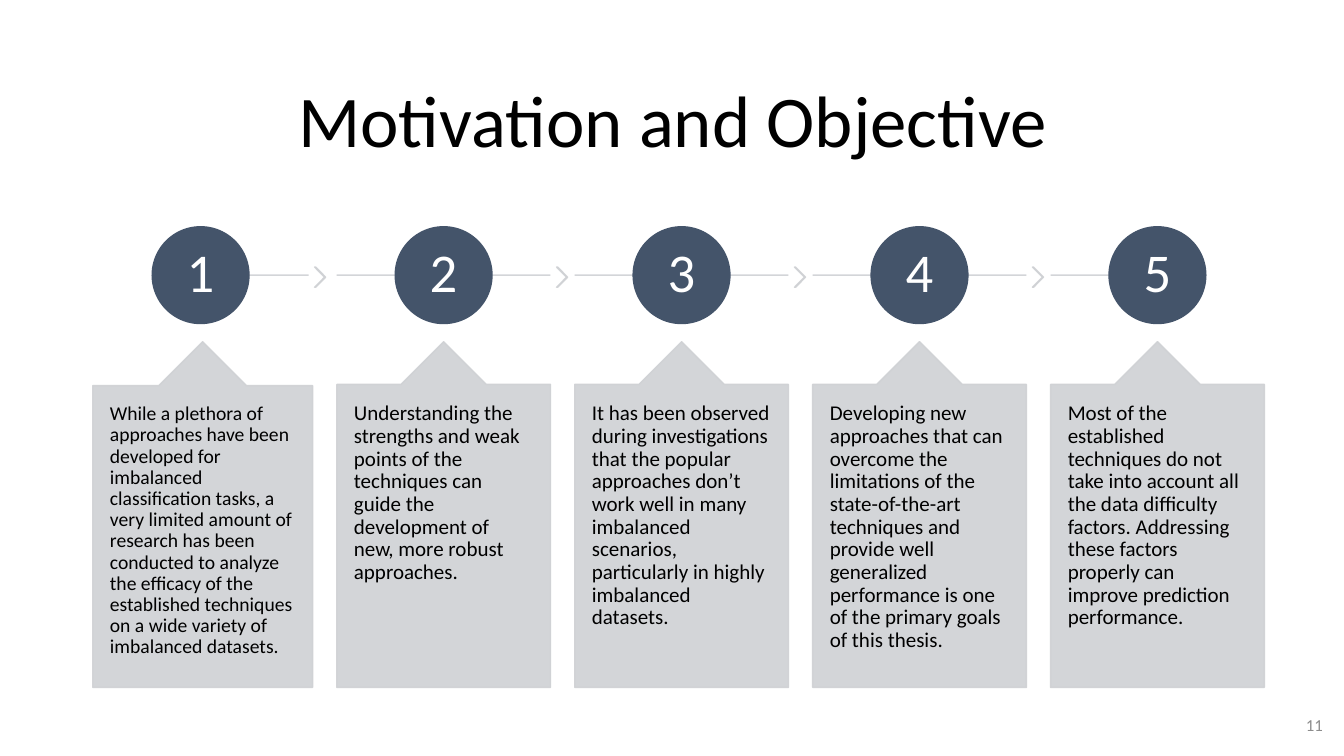
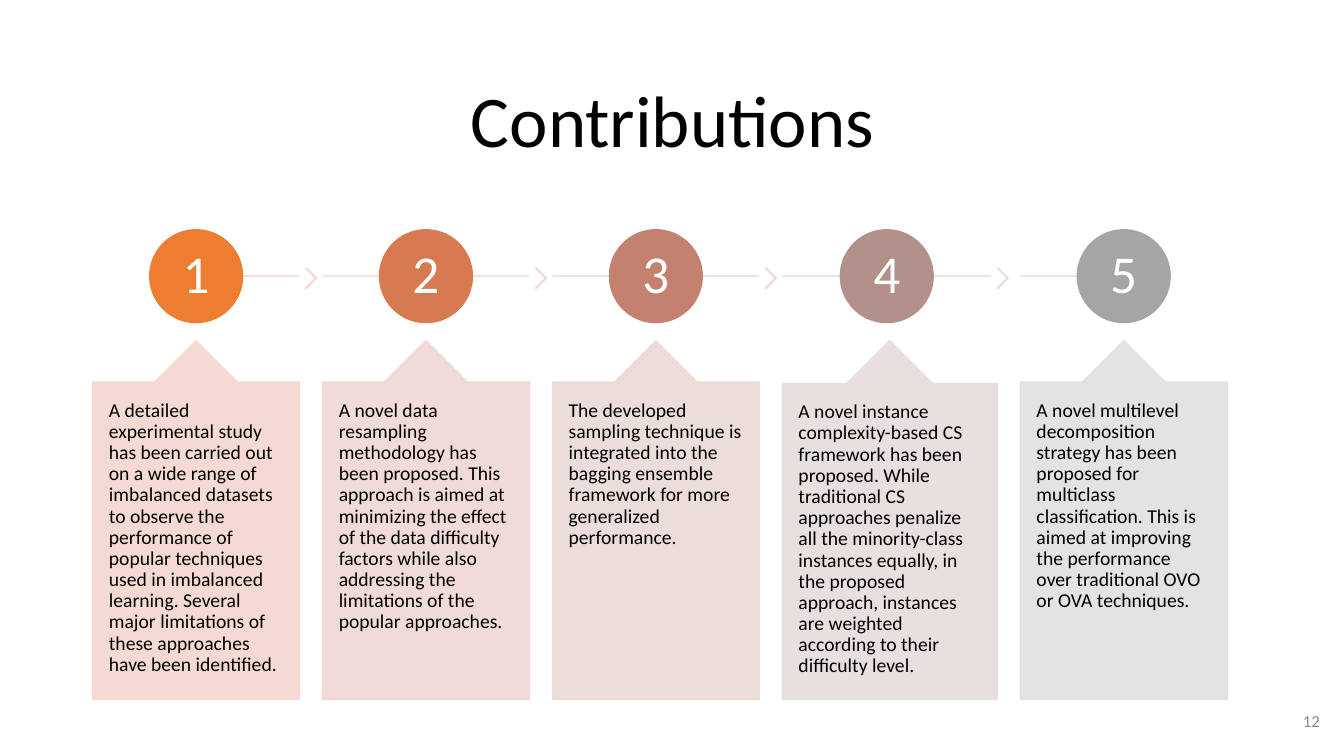
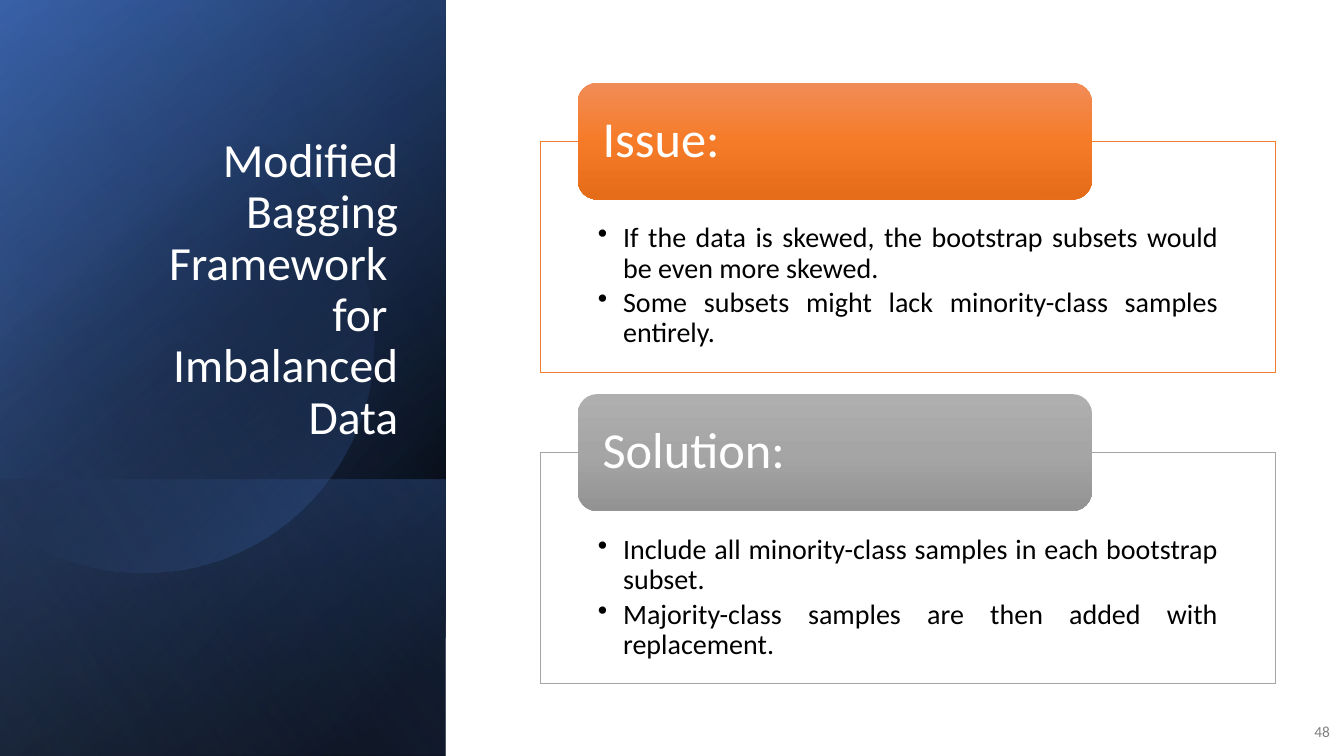
from dataclasses import dataclass
from math import acos, cos, pi, sin

from lxml import etree
from pptx import Presentation
from pptx.dml.color import RGBColor
from pptx.enum.shapes import MSO_CONNECTOR, MSO_SHAPE
from pptx.enum.text import MSO_ANCHOR, MSO_AUTO_SIZE, PP_ALIGN
from pptx.oxml.ns import qn
from pptx.util import Inches, Pt

RECT, ROUND, OVAL = MSO_SHAPE.RECTANGLE, MSO_SHAPE.ROUNDED_RECTANGLE, MSO_SHAPE.OVAL
CHEVRON, CALLOUT = MSO_SHAPE.CHEVRON, MSO_SHAPE.UP_ARROW_CALLOUT
LEFT, MID, RIGHT, FULL = PP_ALIGN.LEFT, PP_ALIGN.CENTER, PP_ALIGN.RIGHT, PP_ALIGN.JUSTIFY
TOP, CENTRE, BASE = MSO_ANCHOR.TOP, MSO_ANCHOR.MIDDLE, MSO_ANCHOR.BOTTOM


@dataclass(frozen=True)
class Theme:
    font: str = "Calibri"
    ink: str = "000000"
    paper: str = "FFFFFF"
    page: str = "8C8C8C"
    slate: str = "44546A"
    mist: str = "CFD1D4"
    blue: str = "4472C4"
    navy: str = "2F5597"
    sky: str = "8FAADC"
    orange: str = "ED7D31"
    grey: str = "A5A5A5"
    title: int = 52
    side: int = 34
    head: int = 36
    body: int = 20
    note: int = 12


@dataclass(frozen=True)
class Stop:
    pos: int
    color: str
    alpha: int = 100


@dataclass(frozen=True)
class Box:
    left: float
    top: float
    width: float
    height: float

    def lengths(self) -> tuple:
        return tuple(Inches(v) for v in (self.left, self.top, self.width, self.height))


@dataclass(frozen=True)
class Hue:
    dot: str
    rail: str
    tip: str
    box: str


@dataclass(frozen=True)
class Card:
    text: str
    hue: Hue
    width: float
    size: int


@dataclass(frozen=True)
class Row:
    """Measures shared by the numbered cards of a slide."""
    width: float
    gap: float
    top: float
    bottom: float
    dot: float
    rail: float
    pad: float
    size: int


@dataclass(frozen=True)
class Panel:
    box: Box
    stops: tuple
    angle: int


@dataclass(frozen=True)
class Block:
    head: str
    points: tuple
    top: float
    line: str
    stops: tuple


T = Theme()
START = 0.92
TITLE = Box(START, 0.61, 11.5, 1.24)


def rgb(code: str) -> RGBColor:
    return RGBColor.from_string(code)


def add(slide, kind, box: Box, fill: str = "", line: str = "", weight: float = 1):
    shape = slide.shapes.add_shape(kind, *box.lengths())
    shape.shadow.inherit = False
    if fill:
        shape.fill.solid()
        shape.fill.fore_color.rgb = rgb(fill)
    if line:
        shape.line.color.rgb = rgb(line)
        shape.line.width = Pt(weight)
    else:
        shape.line.fill.background()
    return shape


def sheer(shape) -> None:
    """Make the fill and line 90% opaque."""
    for color in shape._element.spPr.iter(qn("a:srgbClr")):
        etree.SubElement(color, qn("a:alpha"), val="90000")


def blend(shape, stops: tuple, angle: int) -> None:
    """Fill with a linear gradient that turns with the shape."""
    shape.fill.background()
    props = shape._element.spPr
    grad = etree.Element(qn("a:gradFill"), rotWithShape="1")
    group = etree.SubElement(grad, qn("a:gsLst"))
    for stop in stops:
        mark = etree.SubElement(group, qn("a:gs"), pos=str(stop.pos * 1000))
        color = etree.SubElement(mark, qn("a:srgbClr"), val=stop.color)
        if stop.alpha < 100:
            etree.SubElement(color, qn("a:alpha"), val=str(stop.alpha * 1000))
    etree.SubElement(grad, qn("a:lin"), ang=str(angle * 60000), scaled="0")
    props.replace(props.find(qn("a:noFill")), grad)


def write(shape, lines: tuple, size: float, color: str, align=LEFT, anchor=TOP,
          pads: tuple = (0.1, 0.05, 0.1, 0.05), after: float = 0,
          spacing: float = 0.9, bullet: bool = False) -> None:
    frame = shape.text_frame
    frame.word_wrap = True
    frame.auto_size = MSO_AUTO_SIZE.NONE
    frame.vertical_anchor = anchor
    frame.margin_left, frame.margin_top, frame.margin_right, frame.margin_bottom = (
        Inches(pad) for pad in pads)
    for i, line in enumerate(lines):
        para = frame.add_paragraph() if i else frame.paragraphs[0]
        para.text = line
        if bullet:
            props = para._p.get_or_add_pPr()
            props.set("marL", str(Inches(0.25)))
            props.set("indent", str(Inches(-0.25)))
            etree.SubElement(props, qn("a:buChar"), char="•")
        para.alignment = align
        para.line_spacing = spacing
        para.space_after = Pt(after)
        font = para.font
        font.name, font.size, font.bold = T.font, Pt(size), False
        font.color.rgb = rgb(color)


def head(slide, text: str, box: Box, size: int, color: str, align, anchor) -> None:
    title = slide.shapes.title
    title.left, title.top, title.width, title.height = box.lengths()
    write(title, (text,), size, color, align, anchor)
    slide.shapes._spTree.append(title._element)


def number(slide, text: str, box: Box, size: int = T.note, color: str = T.page) -> None:
    label = slide.shapes.add_textbox(*box.lengths())
    write(label, (text,), size, color, RIGHT, CENTRE, spacing=1)


def rail(slide, start: float, end: float, y: float, color: str) -> None:
    line = slide.shapes.add_connector(
        MSO_CONNECTOR.STRAIGHT, Inches(start), Inches(y), Inches(end), Inches(y))
    line.line.color.rgb = rgb(color)
    line.line.width = Pt(1)
    sheer(line)
    etree.SubElement(line._element.spPr, qn("a:effectLst"))


def steps(slide, row: Row, cards: list) -> None:
    """Draw numbered discs on a rail, each above its callout."""
    left = START
    for i, card in enumerate(cards):
        first, last = i == 0, i == len(cards) - 1
        track = min(card.width, row.width + 0.02)
        mid, end = left + track / 2, left + track
        rail(slide, mid if first else left, mid if last else end, row.rail, card.hue.rail)
        if not last:
            tip = add(slide, CHEVRON, Box(end + 0.06, row.rail - 0.08, 0.11, 0.2),
                      card.hue.tip, card.hue.tip)
            tip.adjustments[0] = 0.9
            sheer(tip)
        disc = add(slide, OVAL, Box(mid - row.dot / 2, row.rail - row.dot / 2,
                                    row.dot, row.dot), card.hue.dot, card.hue.dot)
        write(disc, (str(i + 1),), row.size, T.paper, MID, CENTRE, (0.04,) * 4)
        note = add(slide, CALLOUT, Box(left, row.top, card.width, row.bottom - row.top),
                   card.hue.box, card.hue.box)
        for k, value in enumerate((0.5, 0.2, 0.2, 1)):
            note.adjustments[k] = value
        sheer(note)
        write(note, (card.text,), card.size, T.ink, pads=(row.pad, 0.18, row.pad, 0.18))
        left += card.width + row.gap


def disc(slide) -> None:
    """Draw the pale circle cut off by the left slide edge."""
    x, y, radius, count = 1.42, 3.39, 2.29, 90
    reach = pi - acos(x / radius)
    turns = [-reach + 2 * reach * i / count for i in range(count + 1)]
    points = [(Inches(x + radius * cos(a)), Inches(y + radius * sin(a))) for a in turns]
    path = slide.shapes.build_freeform(*points[0])
    path.add_line_segments(points[1:], close=True)
    shape = path.convert_to_shape()
    shape.shadow.inherit = False
    shape.line.fill.background()
    blend(shape, (Stop(29, T.ink, 0), Stop(100, T.blue, 43)), 50)


def panel(slide, item: Panel) -> None:
    shape = add(slide, RECT, item.box)
    blend(shape, item.stops, item.angle)
    shape.rotation = 90
    shape._element.spPr.find(qn("a:xfrm")).set("flipH", "1")


def block(slide, item: Block) -> None:
    frame = add(slide, RECT, Box(5.36, item.top, 7.29, 2.29), T.paper, item.line, 0.5)
    write(frame, item.points, T.body, T.ink, FULL, TOP, (0.57, 0.82, 0.57, 0.16),
          after=3, bullet=True)
    tab = add(slide, ROUND, Box(5.73, item.top - 0.58, 5.1, 1.16))
    blend(tab, item.stops, 90)
    write(tab, (item.head,), T.head, T.paper, LEFT, CENTRE, (0.19, 0, 0.19, 0))


SLATE = Hue(T.slate, T.mist, T.mist, T.mist)
GOALS = Row(2.12, 0.24, 3.39, 6.82, 0.96, 2.73, 0.17, 39)
GOAL_CARDS = [
    Card("While a plethora of approaches have been developed for imbalanced classification "
         "tasks, a very limited amount of research has been conducted to analyze the efficacy "
         "of the established techniques on a wide variety of imbalanced datasets.",
         SLATE, 2.18, 14),
    Card("Understanding the strengths and weak points of the techniques can guide the "
         "development of new, more robust approaches.", SLATE, 2.12, 15),
    Card("It has been observed during investigations that the popular approaches don’t work "
         "well in many imbalanced scenarios, particularly in highly imbalanced datasets.",
         SLATE, 2.12, 15),
    Card("Developing new approaches that can overcome the limitations of the state-of-the-art "
         "techniques and provide well generalized performance is one of the primary goals of "
         "this thesis.", SLATE, 2.12, 15),
    Card("Most of the established techniques do not take into account all the data difficulty "
         "factors. Addressing these factors properly can improve prediction performance.",
         SLATE, 2.12, 15),
]

GAINS = Row(2.05, 0.23, 3.38, 6.94, 0.92, 2.74, 0.16, 38)
GAIN_CARDS = [
    Card("A detailed experimental study has been carried out on a wide range of imbalanced "
         "datasets to observe the performance of popular techniques used in imbalanced "
         "learning. Several major limitations of these approaches have been identified.",
         Hue(T.orange, "F8D7CE", "F6D7CF", "F5D7D0"), 2.05, 14),
    Card("A novel data resampling methodology has been proposed. This approach is aimed at "
         "minimizing the effect of the data difficulty factors while also addressing the "
         "limitations of the popular approaches.",
         Hue("D87A51", "F3D8D1", "F2D8D3", "F0D8D4"), 2.05, 14),
    Card("The developed sampling technique is integrated into the bagging ensemble framework "
         "for more generalized performance.",
         Hue("C48170", "EED9D5", "EDD9D7", "EBDAD8"), 2.05, 14),
    Card("A novel instance complexity-based CS framework has been proposed. While traditional "
         "CS approaches penalize all the minority-class instances equally, in the proposed "
         "approach, instances are weighted according to their difficulty level.",
         Hue("B4908B", "E9DBDA", "E8DCDB", "E6DDDC"), 2.13, 14),
    Card("A novel multilevel decomposition strategy has been proposed for multiclass "
         "classification. This is aimed at improving the performance over traditional OVO or "
         "OVA techniques.", Hue(T.grey, "E4DEDE", "E4DEDE", "E1E1E1"), 2.05, 14),
]

SIDE = Box(-1.54, 1.54, 7.5, 4.42)
UNDER = [
    Panel(SIDE, (Stop(8, T.ink), Stop(100, T.navy)), 50),
    Panel(SIDE, (Stop(0, T.ink, 0), Stop(99, T.blue, 46)), 30),
    Panel(Box(0.84, 3.92, 2.74, 4.42), (Stop(2, T.blue, 29), Stop(100, T.ink, 30)), 130),
]
GLOSS = Panel(SIDE, (Stop(0, T.ink, 0), Stop(99, T.sky, 11)), 120)
BLOCKS = [
    Block("Issue:", ("If the data is skewed, the bootstrap subsets would be even more skewed.",
                     "Some subsets might lack minority-class samples entirely."),
          1.4, T.orange, (Stop(0, "F18C57"), Stop(50, "F67B28"), Stop(100, "E56C19"))),
    Block("Solution:", ("Include all minority-class samples in each bootstrap subset.",
                        "Majority-class samples are then added with replacement."),
          4.49, T.grey, (Stop(0, "AFAFAF"), Stop(50, T.grey), Stop(100, "939393"))),
]


def main() -> None:
    deck = Presentation()
    deck.slide_width, deck.slide_height = Inches(13.33), Inches(7.5)
    layout = deck.slide_layouts[5]

    for title, page, spot, row, cards in (
            ("Motivation and Objective", "11", Box(12.7, 6.99, 0.52, 0.4), GOALS, GOAL_CARDS),
            ("Contributions", "12", Box(12.75, 6.95, 0.44, 0.4), GAINS, GAIN_CARDS)):
        slide = deck.slides.add_slide(layout)
        head(slide, title, TITLE, T.title, T.ink, MID, CENTRE)
        number(slide, page, spot)
        steps(slide, row, cards)

    slide = deck.slides.add_slide(layout)
    for item in UNDER:
        panel(slide, item)
    disc(slide)
    panel(slide, GLOSS)
    head(slide, "Modified Bagging Framework \vfor \vImbalanced Data",
         Box(0.64, 1.37, 3.41, 3.09), T.side, T.paper, RIGHT, BASE)
    number(slide, "48", Box(12.8, 7.06, 0.49, 0.4), 11, "808080")
    for item in BLOCKS:
        block(slide, item)

    deck.save("out.pptx")


if __name__ == "__main__":
    main()
